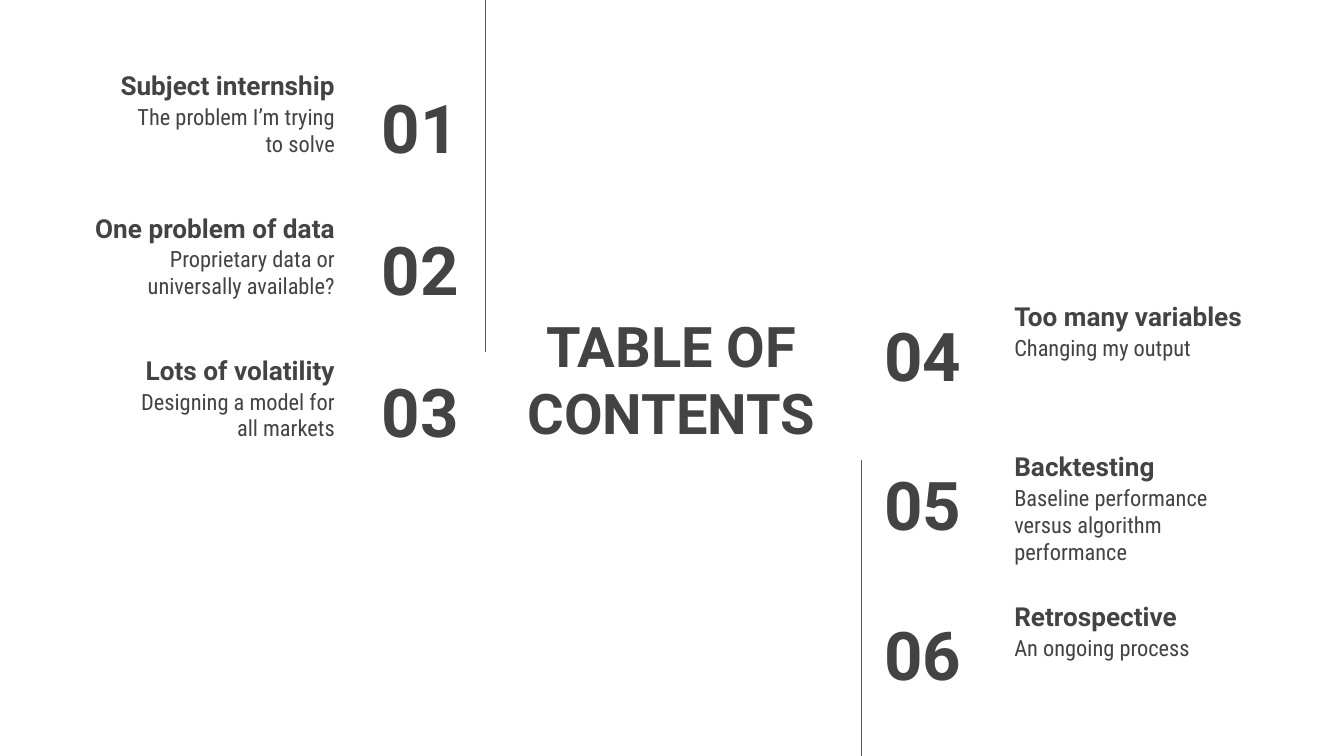
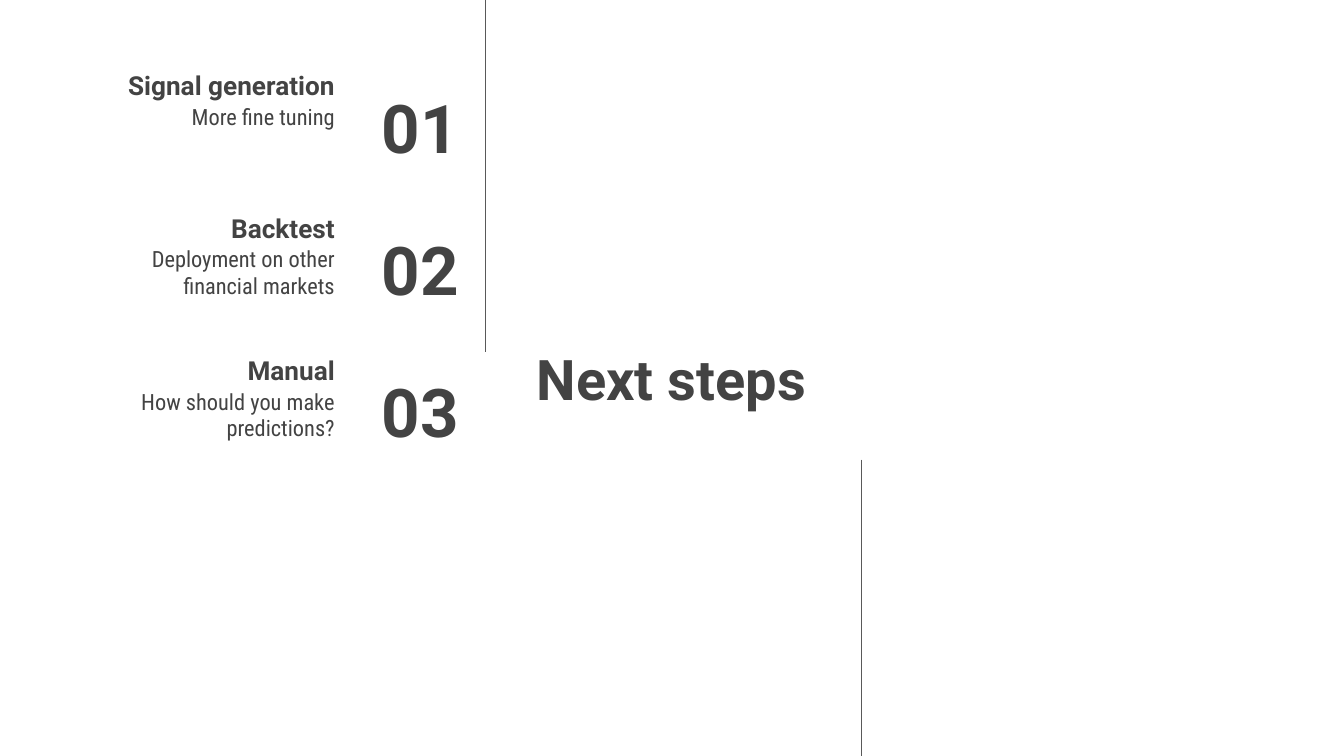
from collections import namedtuple
from dataclasses import dataclass

from lxml import etree
from pptx import Presentation
from pptx.dml.color import RGBColor
from pptx.enum import shapes, text
from pptx.oxml.ns import qn
from pptx.util import Cm, Pt

Box = namedtuple("Box", "x y w h")  # centimetres
Entry = namedtuple("Entry", "num head note")


@dataclass(frozen=True)
class Theme:
    ink: RGBColor = RGBColor(0x43, 0x43, 0x43)
    rule: RGBColor = RGBColor(0x59, 0x59, 0x59)
    bold: str = "Roboto"
    slim: str = "Roboto Condensed"
    title: int = 30
    num: int = 36
    head: int = 14
    note: int = 12
    line: float = 0.75
    inset: float = 0.25


THEME = Theme()
LEFT, RIGHT, MID = text.PP_ALIGN.LEFT, text.PP_ALIGN.RIGHT, text.PP_ALIGN.CENTER
TOP, CORE, BASE = text.MSO_ANCHOR.TOP, text.MSO_ANCHOR.MIDDLE, text.MSO_ANCHOR.BOTTOM

PAGE = Box(0, 0, 25.4, 14.29)
TITLE = Box(9.4, 5.84, 6.58, 2.62)
WEST = Box(1.09, 0.56, 7.83, 6.98)
EAST = Box(16.46, 4.93, 7.95, 7.26)
ROW = 1.6     # height of every text part
HEAD_W, NOTE_W, NUM_W = 5.49, 4.65, 3.05
NOTE_DY = 1.14

SLIDES = [
    ("TABLE OF CONTENTS",
     [Entry("01", "Subject internship", "The problem I’m trying to solve"),
      Entry("02", "One problem of data", "Proprietary data or universally available?"),
      Entry("03", "Lots of volatility", "Designing a model for all markets")],
     [Entry("04", "Too many variables", "Changing my output"),
      Entry("05", "Backtesting", "Baseline performance versus algorithm performance"),
      Entry("06", "Retrospective", "An ongoing process")]),
    ("Next steps",
     [Entry("01", "Signal generation", "More fine tuning"),
      Entry("02", "Backtest", "Deployment on other financial markets"),
      Entry("03", "Manual", "How should you make predictions?")],
     []),
]


def style(shape, words, size, align, anchor, font=THEME.bold):
    """Fill a text shape and format its single paragraph."""
    frame = shape.text_frame
    frame.text = words
    frame.word_wrap = True
    frame.auto_size = text.MSO_AUTO_SIZE.NONE
    frame.vertical_anchor = anchor
    frame.margin_left = frame.margin_right = Cm(THEME.inset)
    frame.margin_top = frame.margin_bottom = Cm(THEME.inset)
    par = frame.paragraphs[0]
    par.alignment = align
    face = par.runs[0].font
    face.name, face.size = font, Pt(size)
    face.bold = font == THEME.bold
    face.color.rgb = THEME.ink


def label(slide, box, *args):
    style(slide.shapes.add_textbox(*map(Cm, box)), *args)


def rule(slide, x, top, end):
    """Thin vertical line."""
    line = slide.shapes.add_connector(
        shapes.MSO_CONNECTOR.STRAIGHT, Cm(x), Cm(top), Cm(x), Cm(end))
    line.line.color.rgb = THEME.rule
    line.line.width = Pt(THEME.line)
    etree.SubElement(line._element.spPr, qn("a:effectLst"))


def title(slide, box, words):
    shape = slide.shapes.title
    shape.left, shape.top, shape.width, shape.height = map(Cm, box)
    style(shape, words, THEME.title, MID, CORE)


def column(slide, box, items, west):
    """Three numbered entries; the numbers face the slide's centre."""
    step = (box.h - ROW) / 2
    edge = box.x + box.w
    align = RIGHT if west else LEFT
    if west:
        num_x, head_x = edge - NUM_W, box.x
        note_x = head_x + HEAD_W - NOTE_W
    else:
        num_x, head_x = box.x, edge - HEAD_W
        note_x = head_x
    num_dy = 1.03 if west else 0.97
    for i, item in enumerate(items):
        y = box.y + i * step
        label(slide, Box(num_x, y + num_dy, NUM_W, ROW),
              item.num, THEME.num, align, CORE)
        label(slide, Box(head_x, y, HEAD_W, ROW),
              item.head, THEME.head, align, BASE)
        label(slide, Box(note_x, y + NOTE_DY, NOTE_W, ROW),
              item.note, THEME.note, align, TOP, THEME.slim)


def agenda(deck, words, west, east):
    slide = deck.slides.add_slide(deck.slide_layouts[5])
    title(slide, TITLE, words)
    column(slide, WEST, west, True)
    column(slide, EAST, east, False)
    # Rules run from the title's corners to the slide edges
    rule(slide, TITLE.x - 0.23, PAGE.y, 6.65)
    rule(slide, TITLE.x + TITLE.w + 0.3, 8.69, PAGE.h)


def main():
    deck = Presentation()
    deck.slide_width, deck.slide_height = Cm(PAGE.w), Cm(PAGE.h)
    for page in SLIDES:
        agenda(deck, *page)
    deck.save("out.pptx")


if __name__ == "__main__":
    main()
